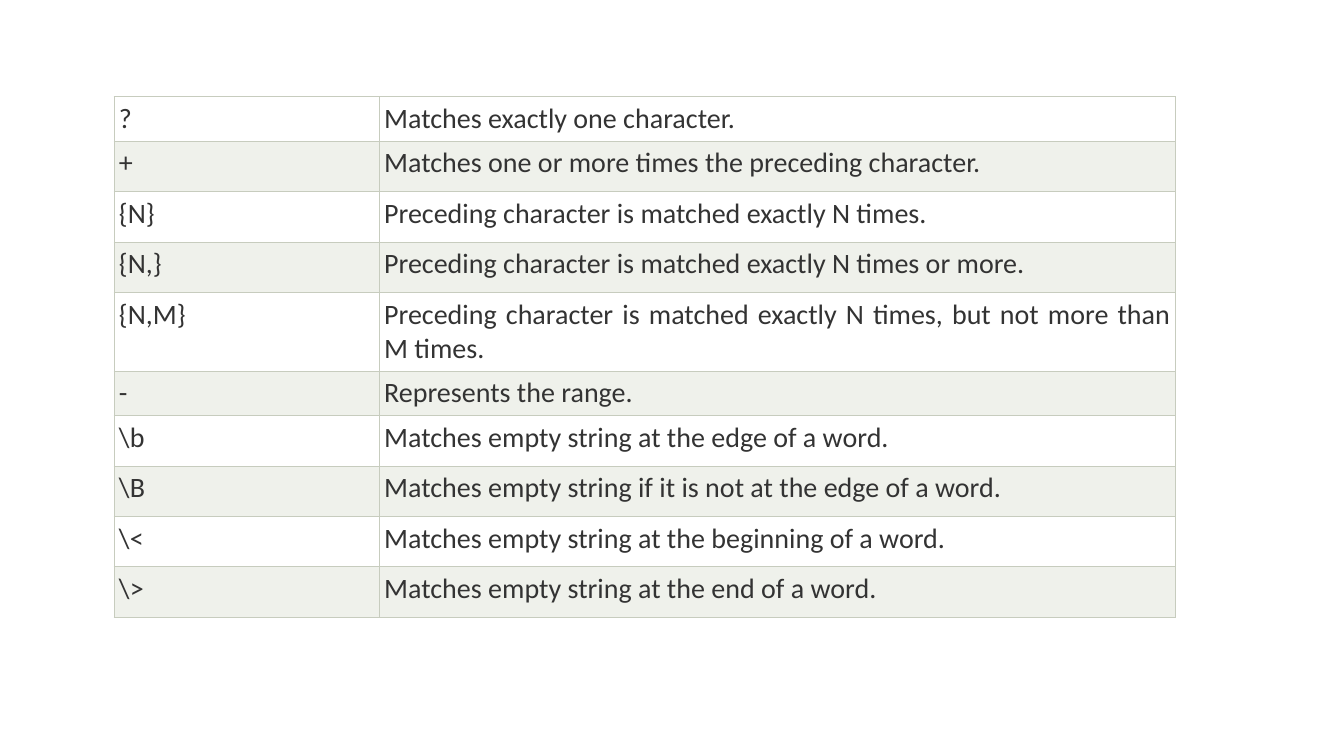
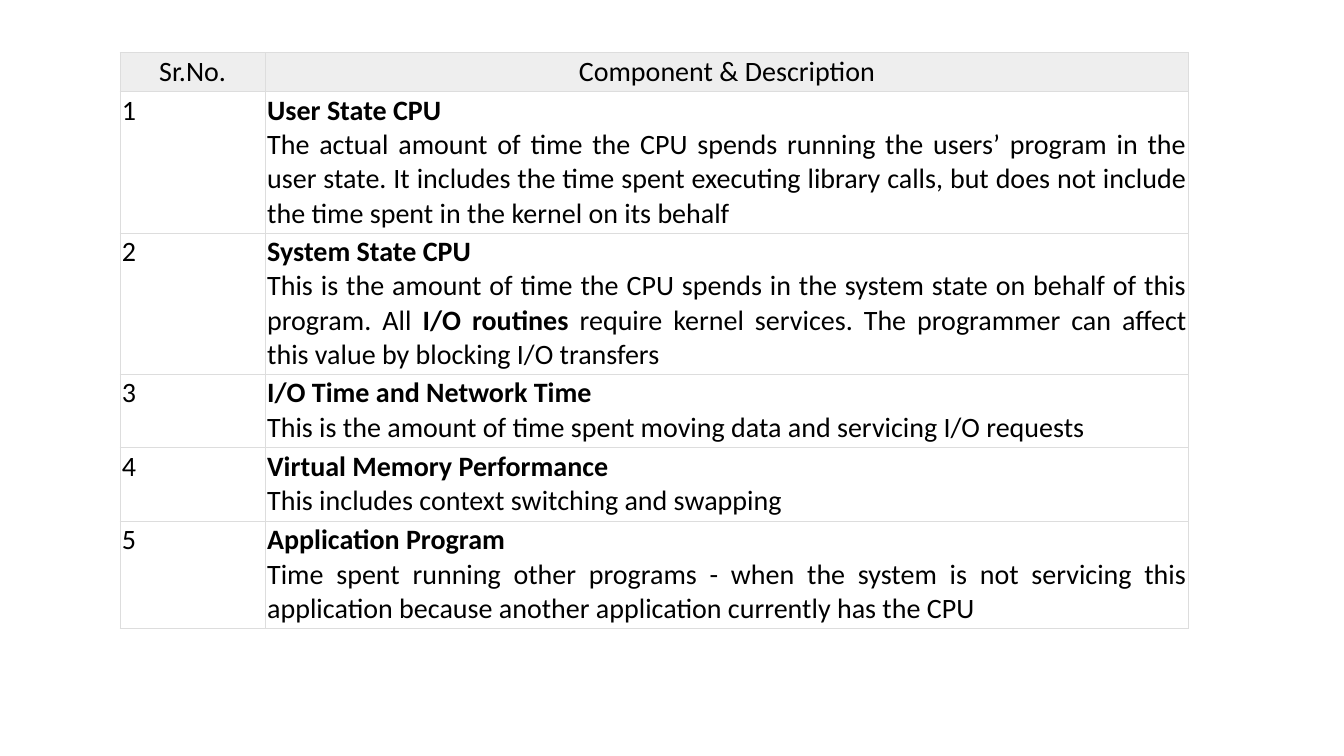
from lxml import etree
from pptx import Presentation
from pptx import util as u
from pptx.dml.color import RGBColor
from pptx.enum import text
from pptx.oxml import ns

PX = 9144  # 100 px to the inch
COLORS = {
    "white": "FFFFFF", "black": "000000", "gray_text": "333333",
    "sage_band": "EFF1EB", "sage_line": "C7CCBE",
    "head_fill": "EEEEEE", "gray_line": "DDDDDD",
}
FONT, SIZE = "Calibri", 20
LINE_WIDTH = 0.6
LEFT, CENTER, JUSTIFY = text.PP_ALIGN.LEFT, text.PP_ALIGN.CENTER, text.PP_ALIGN.JUSTIFY

PATTERNS = [
    ("?", "Matches exactly one character."),
    ("+", "Matches one or more times the preceding character."),
    ("{N}", "Preceding character is matched exactly N times."),
    ("{N,}", "Preceding character is matched exactly N times or more."),
    ("{N,M}", "Preceding character is matched exactly N times, but not more than M times."),
    ("-", "Represents the range."),
    ("\\b", "Matches empty string at the edge of a word."),
    ("\\B", "Matches empty string if it is not at the edge of a word."),
    ("\\<", "Matches empty string at the beginning of a word."),
    ("\\>", "Matches empty string at the end of a word."),
]

# Double asterisks enclose bold words
COMPONENTS = [
    ("User State CPU",
     "The actual amount of time the CPU spends running the users’ program in the user state. "
     "It includes the time spent executing library calls, but does not include the time spent "
     "in the kernel on its behalf"),
    ("System State CPU",
     "This is the amount of time the CPU spends in the system state on behalf of this program. "
     "All **I/O routines** require kernel services. The programmer can affect this value by "
     "blocking I/O transfers"),
    ("I/O Time and Network Time",
     "This is the amount of time spent moving data and servicing I/O requests"),
    ("Virtual Memory Performance", "This includes context switching and swapping"),
    ("Application Program",
     "Time spent running other programs - when the system is not servicing this application "
     "because another application currently has the CPU"),
]


def add_borders(cell, color):
    tcPr = cell._tc.get_or_add_tcPr()
    for side in ("a:lnL", "a:lnR", "a:lnT", "a:lnB"):
        ln = etree.SubElement(tcPr, ns.qn(side), w=str(int(u.Pt(LINE_WIDTH))))
        fill = etree.SubElement(ln, ns.qn("a:solidFill"))
        etree.SubElement(fill, ns.qn("a:srgbClr"), val=COLORS[color])


def fill_cell(cell, paragraphs, align, color, fill, line, inset):
    cell.margin_left = cell.margin_right = inset * PX
    cell.margin_top = cell.margin_bottom = inset * PX
    cell.vertical_anchor = text.MSO_ANCHOR.TOP
    add_borders(cell, line)
    if fill:
        cell.fill.solid()
        cell.fill.fore_color.rgb = RGBColor.from_string(COLORS[fill])
    else:
        cell.fill.background()
    tf = cell.text_frame
    for i, words in enumerate(paragraphs):
        p = tf.add_paragraph() if i else tf.paragraphs[0]
        p.alignment = align
        for j, part in enumerate(words.split("**")):
            if not part:
                continue
            r = p.add_run()
            r.text = part
            r.font.name, r.font.size = FONT, u.Pt(SIZE)
            r.font.bold = j % 2 == 1
            r.font.color.rgb = RGBColor.from_string(COLORS[color])


def add_grid(s, box, first_col, heights):
    """Plain two-column table; the second column takes the remaining width."""
    x, y, w = box
    frame = s.shapes.add_table(len(heights), 2, x * PX, y * PX, w * PX, sum(heights) * PX)
    table = frame.table
    table.first_row = table.horz_banding = False
    for col, width in zip(table.columns, (first_col, w - first_col)):
        col.width = width * PX
    for row, height in zip(table.rows, heights):
        row.height = height * PX
    return table


def pattern_table(s, box):
    heights = [42, 50, 50, 50, 75, 42, 50, 50, 50, 50]
    table = add_grid(s, box, 263, heights)
    for i, row in enumerate(PATTERNS):
        band = "sage_band" if i % 2 else "white"
        for j, words in enumerate(row):
            fill_cell(table.cell(i, j), [words], JUSTIFY, "gray_text", band, "sage_line", 5)


def component_table(s, box):
    table = add_grid(s, box, 144, [39, 139, 139, 73, 73, 105])
    style = {"color": "black", "line": "gray_line", "inset": 2}
    # Header row
    for j, words in enumerate(("Sr.No.", "Component & Description")):
        fill_cell(table.cell(0, j), [words], CENTER, fill="head_fill", **style)
    # Numbered rows
    for i, (name, description) in enumerate(COMPONENTS, 1):
        fill_cell(table.cell(i, 0), [str(i)], LEFT, fill=None, **style)
        fill_cell(table.cell(i, 1), [f"**{name}**", description], JUSTIFY, fill=None, **style)


def main():
    prs = Presentation()
    prs.slide_width, prs.slide_height = 1333 * PX, 750 * PX
    for build, box in ((pattern_table, (113, 96, 1053)), (component_table, (119, 52, 1060))):
        build(prs.slides.add_slide(prs.slide_layouts[6]), box)
    prs.save("out.pptx")


if __name__ == "__main__":
    main()
